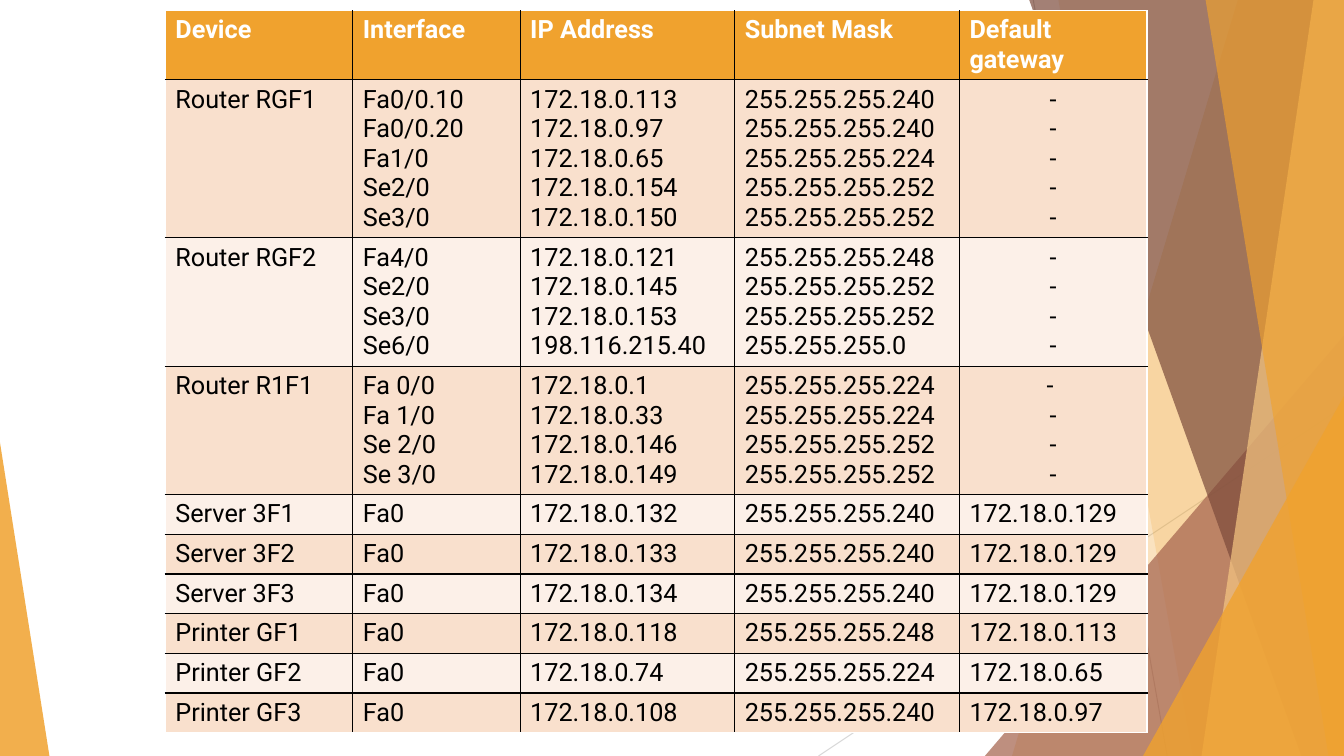
from lxml import etree
from pptx import Presentation
from pptx.dml.color import RGBColor
from pptx.enum.shapes import MSO_CONNECTOR, MSO_SHAPE
from pptx.enum.text import PP_ALIGN
from pptx.oxml.ns import qn
from pptx.util import Inches, Pt

STRAIGHT = MSO_CONNECTOR.STRAIGHT
TRIANGLE = MSO_SHAPE.ISOSCELES_TRIANGLE
LEFT, CENTER = PP_ALIGN.LEFT, PP_ALIGN.CENTER

AMBER, WHITE, BLACK = "F0A22E", "FFFFFF", "000000"
BANDS = ("FCF0E8", "F9E0CD")
LINE_SHARE, PADDING_SHARE = 3.91, 1.33

RAYS = [
    ((76.88, 0), (86.85, 100), "BFBFBF"),
    ((100, 53.73), (60.9, 100), "D9D9D9"),
]
BACK_FACETS = [
    (92.1, 75.3, AMBER, 30),
    (78.75, 88.73, AMBER, 20),
]
FRONT_FACETS = [
    (76.58, 96.83, "7C4B3B", 70),
    (97.73, 89.4, "F6C782", 70),
    (89.7, 98.85, AMBER, 65),
]
BACK_TRIANGLE = ((73.28, 44.4, 26.72, 55.6), 1, "A5644E", 72)
FRONT_TRIANGLES = [
    ((85.05, 52.4, 14.95, 47.6), 1, AMBER, 80),
    ((0, 58.53, 3.68, 41.47), 0, AMBER, 85),
]

COLUMN_SHARES = (13.95, 12.45, 15.97, 16.72, 13.95)
HEADER = ("Device", "Interface", "IP Address", "Subnet Mask", "Default gateway")
ROUTERS = [
    ("Router RGF1", [
        ("Fa0/0.10", "172.18.0.113", "255.255.255.240", "-"),
        ("Fa0/0.20", "172.18.0.97", "255.255.255.240", "-"),
        ("Fa1/0", "172.18.0.65", "255.255.255.224", "-"),
        ("Se2/0", "172.18.0.154", "255.255.255.252", "-"),
        ("Se3/0", "172.18.0.150", "255.255.255.252", "-"),
    ]),
    ("Router RGF2", [
        ("Fa4/0", "172.18.0.121", "255.255.255.248", "-"),
        ("Se2/0", "172.18.0.145", "255.255.255.252", "-"),
        ("Se3/0", "172.18.0.153", "255.255.255.252", "-"),
        ("Se6/0", "198.116.215.40", "255.255.255.0", "-"),
    ]),
    ("Router R1F1", [
        ("Fa 0/0", "172.18.0.1", "255.255.255.224", "- "),
        ("Fa 1/0", "172.18.0.33", "255.255.255.224", "-"),
        ("Se 2/0", "172.18.0.146", "255.255.255.252", "-"),
        ("Se 3/0", "172.18.0.149", "255.255.255.252", "-"),
    ]),
]
HOSTS = [
    ("Server 3F1", "Fa0", "172.18.0.132", "255.255.255.240", "172.18.0.129"),
    ("Server 3F2", "Fa0", "172.18.0.133", "255.255.255.240", "172.18.0.129"),
    ("Server 3F3", "Fa0", "172.18.0.134", "255.255.255.240", "172.18.0.129"),
    ("Printer GF1", "Fa0", "172.18.0.118", "255.255.255.248", "172.18.0.113"),
    ("Printer GF2", "Fa0", "172.18.0.74", "255.255.255.224", "172.18.0.65"),
    ("Printer GF3", "Fa0", "172.18.0.108", "255.255.255.240", "172.18.0.97"),
]


class SlideBuilder:
    """Draws elements on one slide, with lengths in percent of its size."""

    def __init__(self, presentation):
        self.width = presentation.slide_width
        self.height = presentation.slide_height
        self.slide = presentation.slides.add_slide(presentation.slide_layouts[6])
        self.shapes = self.slide.shapes
        self.text_format = {"name": "Roboto", "size": Pt(18)}

    def across(self, share):
        return round(self.width * share / 100)

    def down(self, share):
        return round(self.height * share / 100)

    def point(self, x, y):
        return self.across(x), self.down(y)

    def paint(self, fill, colour, opacity=100):
        fill.solid()
        fill.fore_color.rgb = RGBColor.from_string(colour)
        if opacity < 100:
            for node in fill._xPr.iter(qn("a:srgbClr")):
                etree.SubElement(node, qn("a:alpha"), val=str(opacity * 1000))

    def finish(self, shape, colour, opacity):
        shape.shadow.inherit = False
        shape.line.fill.background()
        self.paint(shape.fill, colour, opacity)

    def ray(self, start, end, colour):
        connector = self.shapes.add_connector(STRAIGHT, *self.point(*start), *self.point(*end))
        connector.line.width = Pt(0.75)
        self.paint(connector.line.fill, colour)
        etree.SubElement(connector._element.spPr, qn("a:effectLst"))

    def facet(self, top, bottom, colour, opacity):
        builder = self.shapes.build_freeform(*self.point(top, 0), scale=1.0)
        corners = [(100, 0), (100, 100), (bottom, 100)]
        builder.add_line_segments([self.point(*corner) for corner in corners], close=True)
        self.finish(builder.convert_to_shape(), colour, opacity)

    def triangle(self, box, apex, colour, opacity):
        left, top, width, height = box
        shape = self.shapes.add_shape(
            TRIANGLE, *self.point(left, top), *self.point(width, height))
        shape.adjustments[0] = apex
        self.finish(shape, colour, opacity)

    def border(self, cell, colours):
        properties = cell._tc.get_or_add_tcPr()
        for side, colour in colours.items():
            line = etree.SubElement(properties, qn(f"a:ln{side}"), w=str(int(Pt(1))))
            fill = etree.SubElement(line, qn("a:solidFill"))
            etree.SubElement(fill, qn("a:srgbClr"), val=colour)

    def fill_text(self, cell, text, colour, **format_values):
        cell.text = text
        for paragraph in cell.text_frame.paragraphs:
            paragraph.alignment = CENTER if text.startswith("-") else LEFT
            for run in paragraph.runs:
                for name, value in (self.text_format | format_values).items():
                    setattr(run.font, name, value)
                self.paint(run.font.fill, colour)

    def table(self, left, top, column_shares, rows, line_counts):
        row_shares = [PADDING_SHARE + LINE_SHARE * count for count in line_counts]
        table = self.shapes.add_table(
            len(rows), len(column_shares), *self.point(left, top),
            *self.point(sum(column_shares), sum(row_shares))).table
        for column, share in zip(table.columns, column_shares):
            column.width = self.across(share)
        last_row, last_column = len(rows) - 1, len(column_shares) - 1
        for row_index, texts in enumerate(rows):
            table.rows[row_index].height = self.down(row_shares[row_index])
            header = row_index == 0
            for column_index, text in enumerate(texts):
                cell = table.cell(row_index, column_index)
                outer = {
                    "L": column_index == 0,
                    "R": column_index == last_column,
                    "T": header,
                    "B": row_index == last_row,
                }
                self.border(cell, {side: WHITE if edge else BLACK
                                   for side, edge in outer.items()})
                self.paint(cell.fill, AMBER if header else BANDS[row_index % 2])
                self.fill_text(cell, text, WHITE if header else BLACK, bold=header)


def main():
    presentation = Presentation()
    presentation.slide_width, presentation.slide_height = Inches(13.33), Inches(7.5)
    builder = SlideBuilder(presentation)
    for ray in RAYS:
        builder.ray(*ray)
    for facet in BACK_FACETS:
        builder.facet(*facet)
    builder.triangle(*BACK_TRIANGLE)
    for facet in FRONT_FACETS:
        builder.facet(*facet)
    for triangle in FRONT_TRIANGLES:
        builder.triangle(*triangle)

    router_rows = [(device, *map("\n".join, zip(*interfaces))) for device, interfaces in ROUTERS]
    line_counts = [2] + [len(interfaces) for _, interfaces in ROUTERS] + [1] * len(HOSTS)
    builder.table(12.3, 1.4, COLUMN_SHARES, [HEADER, *router_rows, *HOSTS], line_counts)
    presentation.save("out.pptx")


if __name__ == "__main__":
    main()
